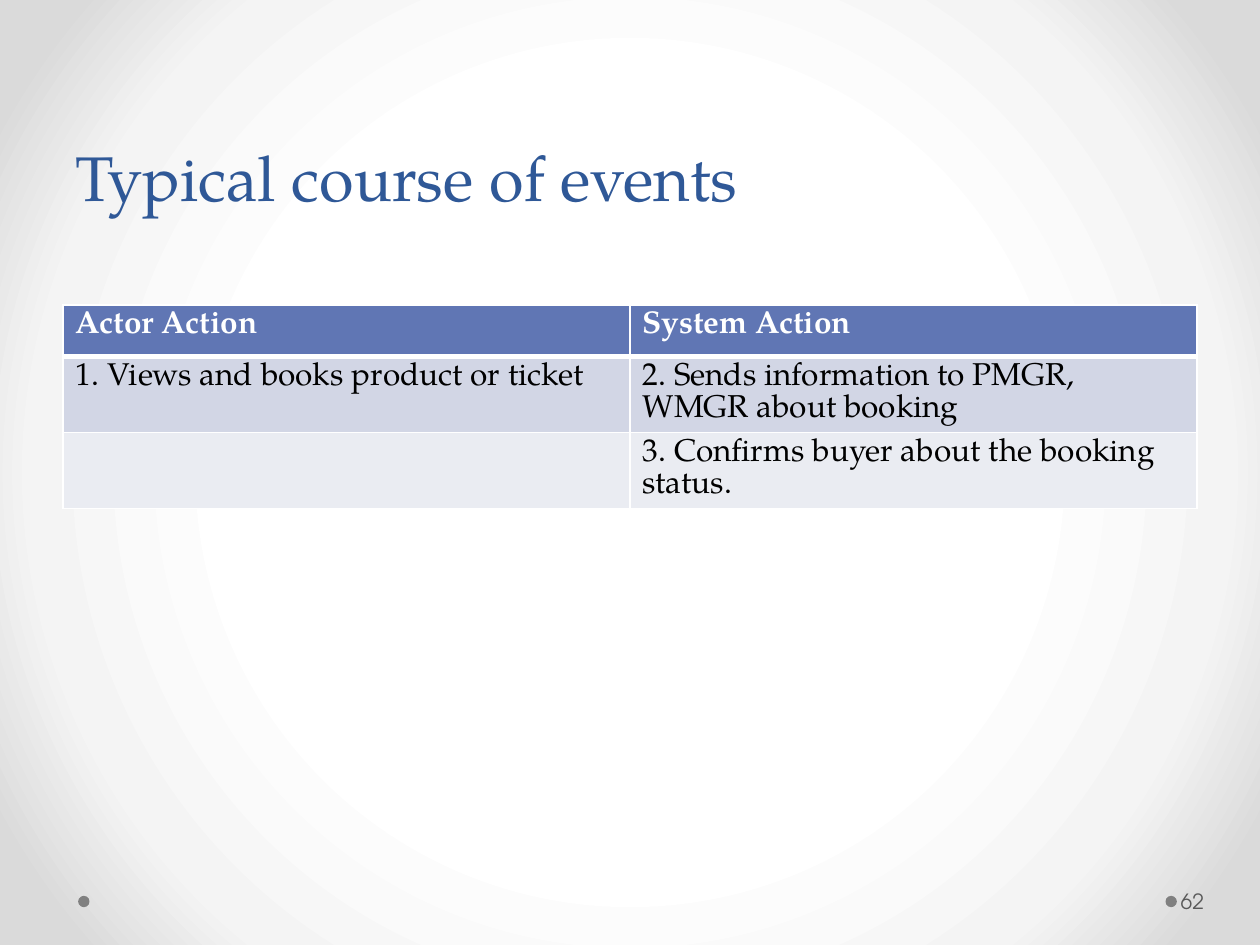
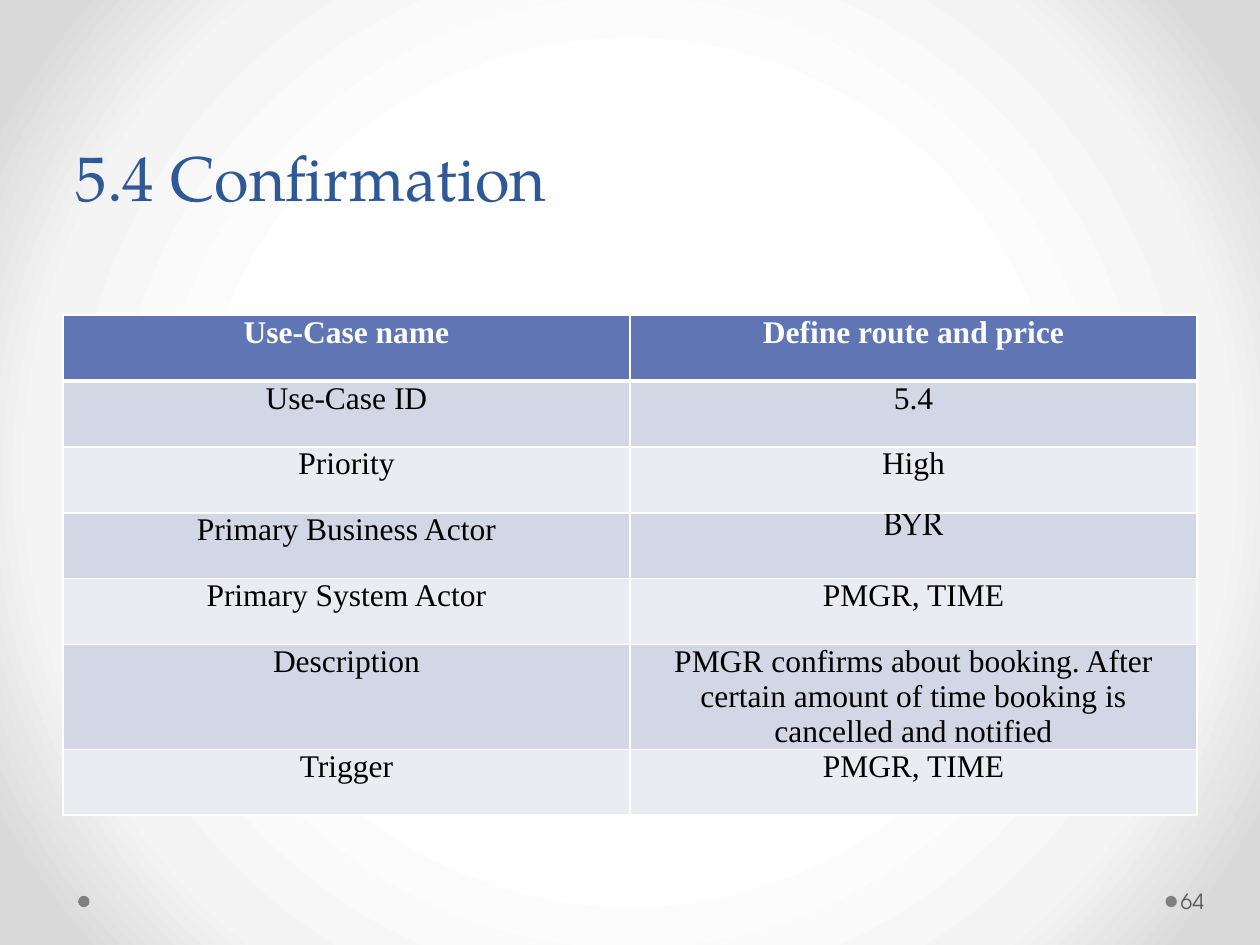
"""Builds two use-case slides, each with a title and a banded table."""
from lxml import etree
from pptx import Presentation
from pptx.dml.color import RGBColor
from pptx.enum.shapes import MSO_SHAPE
from pptx.enum.text import MSO_ANCHOR, MSO_AUTO_SIZE, PP_ALIGN
from pptx.oxml.ns import qn
from pptx.util import Pt

OVAL = MSO_SHAPE.OVAL
BOTTOM, MIDDLE = MSO_ANCHOR.BOTTOM, MSO_ANCHOR.MIDDLE
NO_FIT = MSO_AUTO_SIZE.NONE
LEFT, CENTER = PP_ALIGN.LEFT, PP_ALIGN.CENTER

COLORS = {
    "title": "2F5897", "header": "6076B4", "odd": "D2D6E5", "even": "EAECF2",
    "white": "FFFFFF", "black": "000000", "dot": "808080", "number": "595959",
}
BACKGROUND_STOPS = [(50, "FFFFFF"), (76, "F4F4F4"), (92, "DADADA")]
SERIF, SANS, TIMES = "TeX Gyre Pagella", "TeX Gyre Adventor", "Times New Roman"
MARGIN, CONTENT_W = 36, 648
DOT_LEFTS, DOT_TOP, DOT_SIZE = (44.64, 666), 511.92, 6.5

SLIDES = [
    {
        "title": "Typical course of events", "number": "62",
        "top": 174.24, "heights": [29.5] * 3,
        "font": SERIF, "align": LEFT, "insets": (7.2, 3.6),
        "rows": [
            ("Actor Action", "System Action"),
            ("1. Views and books product or ticket",
             "2. Sends information to PMGR, WMGR about booking"),
            ("", "3. Confirms buyer about the booking status."),
        ],
    },
    {
        "title": "5.4 Confirmation", "number": "64",
        "top": 180, "heights": [37.7] * 5 + [55.4, 37.7],
        "font": TIMES, "align": CENTER, "insets": (5, 0),
        "rows": [
            ("Use-Case name", "Define route and price"),
            ("Use-Case ID", "5.4"),
            ("Priority", "High"),
            ("Primary Business Actor", "BYR"),
            ("Primary System Actor", "PMGR, TIME"),
            ("Description", "PMGR confirms about booking. After certain amount "
                            "of time booking is cancelled and notified"),
            ("Trigger", "PMGR, TIME"),
        ],
    },
]
CELL_FONTS = {"BYR": SERIF}


def style_text(p, font, size, color, bold=False):
    for r in p.runs:
        r.font.name, r.font.size, r.font.bold = font, Pt(size), bold
        r.font.color.rgb = RGBColor.from_string(COLORS[color])


def add_border(cell, side, width):
    ln = etree.SubElement(cell._tc.get_or_add_tcPr(), qn(f"a:ln{side}"), w=str(Pt(width)))
    fill = etree.SubElement(ln, qn("a:solidFill"))
    etree.SubElement(fill, qn("a:srgbClr"), val=COLORS["white"])


prs = Presentation()
prs.slide_width, prs.slide_height = Pt(720), Pt(540)

master = prs.slide_master
master.background.fill.gradient()
grad = master.element.find(".//" + qn("a:gradFill"))
for child in list(grad):
    grad.remove(child)
stops = etree.SubElement(grad, qn("a:gsLst"))
for pos, color in BACKGROUND_STOPS:
    stop = etree.SubElement(stops, qn("a:gs"), pos=str(pos * 1000))
    etree.SubElement(stop, qn("a:srgbClr"), val=color)
radial = etree.SubElement(grad, qn("a:path"))
radial.set("path", "circle")
etree.SubElement(radial, qn("a:fillToRect"), l="50000", t="50000", r="50000", b="50000")

for data in SLIDES:
    s = prs.slides.add_slide(prs.slide_layouts[5])

    for left in DOT_LEFTS:
        sp = s.shapes.add_shape(OVAL, Pt(left), Pt(DOT_TOP), Pt(DOT_SIZE), Pt(DOT_SIZE))
        sp.shadow.inherit = False
        sp.fill.solid()
        sp.fill.fore_color.rgb = RGBColor.from_string(COLORS["dot"])
        sp.line.fill.background()

    title = s.shapes.title
    title.left, title.top, title.width, title.height = Pt(MARGIN), Pt(0), Pt(CONTENT_W), Pt(126)
    tf = title.text_frame
    tf.text = data["title"]
    tf.auto_size, tf.vertical_anchor = NO_FIT, BOTTOM
    p = tf.paragraphs[0]
    p.alignment, p.line_spacing = LEFT, Pt(58)
    style_text(p, SERIF, 36, "title")

    rows, heights = data["rows"], data["heights"]
    table = s.shapes.add_table(len(rows), 2, Pt(MARGIN), Pt(data["top"]),
                               Pt(CONTENT_W), Pt(sum(heights))).table
    for col in table.columns:
        col.width = Pt(CONTENT_W / 2)
    for i, (row, height) in enumerate(zip(rows, heights)):
        table.rows[i].height = Pt(height)
        band = "header" if i == 0 else "odd" if i % 2 else "even"
        for j, text in enumerate(row):
            cell = table.cell(i, j)
            inset_x, inset_y = data["insets"]
            cell.margin_left = cell.margin_right = Pt(inset_x)
            cell.margin_top = cell.margin_bottom = Pt(inset_y)
            for side in "LRTB":
                add_border(cell, side, 3 if (i, side) in ((0, "B"), (1, "T")) else 1)
            cell.fill.solid()
            cell.fill.fore_color.rgb = RGBColor.from_string(COLORS[band])
            p = cell.text_frame.paragraphs[0]
            p.text = text
            p.alignment = data["align"]
            style_text(p, CELL_FONTS.get(text, data["font"]), 18,
                       "white" if i == 0 else "black", i == 0)

    number = s.shapes.add_textbox(Pt(672.5), Pt(500.4), Pt(44), Pt(28.8))
    tf = number.text_frame
    tf.word_wrap, tf.vertical_anchor = True, MIDDLE
    tf.margin_left, tf.margin_right = Pt(2.2), Pt(3.6)
    tf.text = data["number"]
    style_text(tf.paragraphs[0], SANS, 12, "number")

prs.save("out.pptx")
